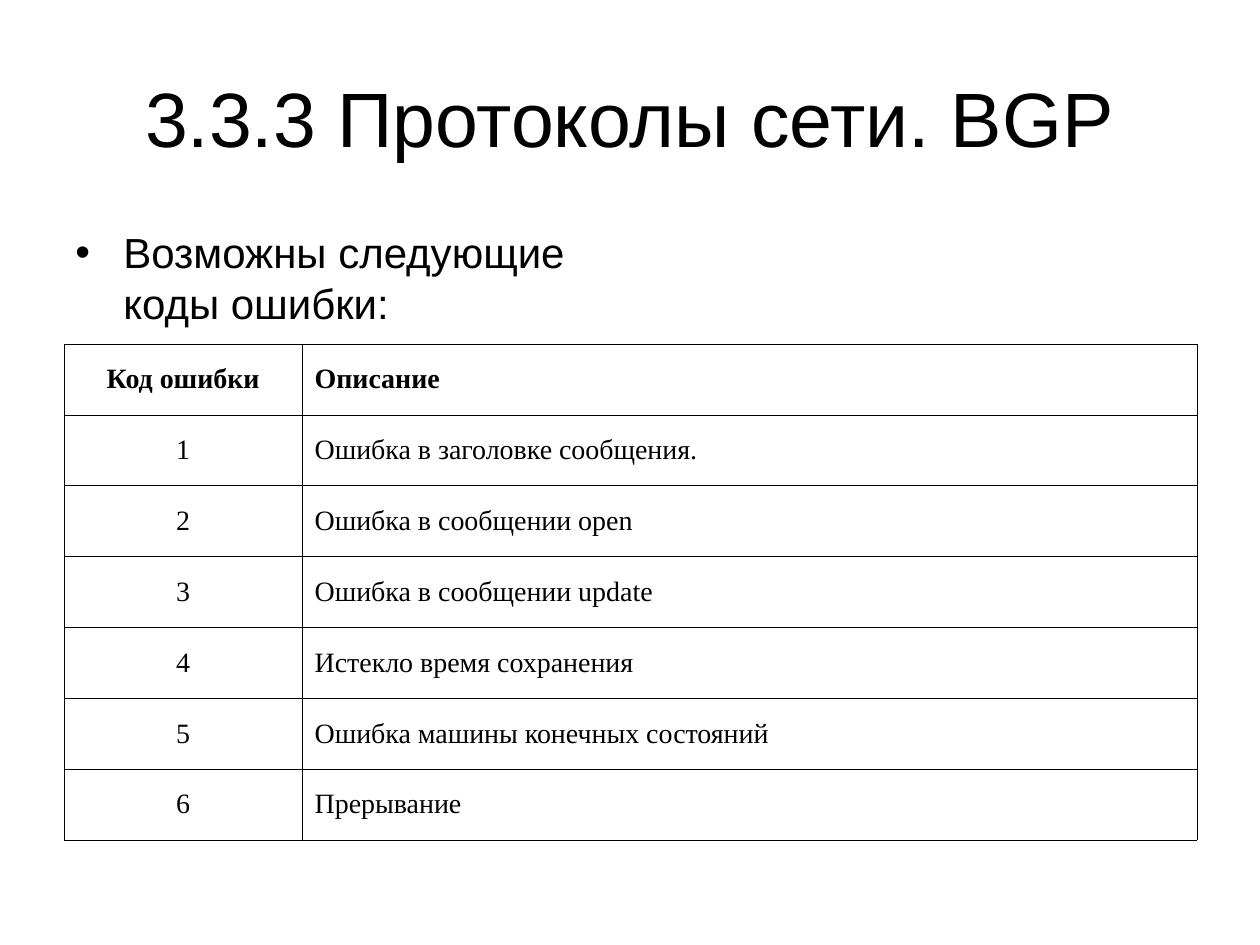
from lxml.etree import SubElement
from pptx import Presentation
from pptx.dml.color import RGBColor
from pptx.enum.text import MSO_ANCHOR as Anchor, PP_ALIGN as Align
from pptx.oxml.ns import qn
from pptx.util import Inches, Pt

BLACK = RGBColor(0x00, 0x00, 0x00)
WHITE = RGBColor(0xFF, 0xFF, 0xFF)
SANS, SERIF = "Arial", "Times New Roman"
WIDTH, HEIGHT = Inches(10), Inches(7.5)
CODE_SHARE = 0.21
ERRORS = [
    ("Код ошибки", "Описание"),
    ("1", "Ошибка в заголовке сообщения."),
    ("2", "Ошибка в сообщении open"),
    ("3", "Ошибка в сообщении update"),
    ("4", "Истекло время сохранения"),
    ("5", "Ошибка машины конечных состояний"),
    ("6", "Прерывание"),
]


def share_box(x, y, w, h):
    """Turn shares of the slide into left, top, width and height."""
    return int(x * WIDTH), int(y * HEIGHT), int(w * WIDTH), int(h * HEIGHT)


def write(tf, text, font, size, align=Align.LEFT, bold=False):
    """Write one run into the first paragraph and return the paragraph."""
    p = tf.paragraphs[0]
    p.alignment = align
    r = p.add_run()
    r.text = text
    r.font.name, r.font.size, r.font.bold = font, Pt(size), bold
    r.font.color.rgb = BLACK
    return p


def add_text_frame(s, box, anchor):
    """Add a wrapping text box and return its text frame."""
    tf = s.shapes.add_textbox(*box).text_frame
    tf.word_wrap = True
    tf.vertical_anchor = anchor
    return tf


def add_title(s, box):
    """Place the centred slide title."""
    tf = add_text_frame(s, box, Anchor.MIDDLE)
    write(tf, "3.3.3 Протоколы сети. BGP", SANS, 44, Align.CENTER)


def add_intro(s, box):
    """Place the bulleted line above the table."""
    tf = add_text_frame(s, box, Anchor.TOP)
    p = write(tf, "Возможны следующие коды ошибки:", SANS, 24)
    p.space_before = Pt(6)
    pPr = p._p.get_or_add_pPr()
    indent = Inches(0.38)
    pPr.set("marL", str(indent))
    pPr.set("indent", str(-indent))
    SubElement(pPr, qn("a:buFont"), typeface=SANS)
    SubElement(pPr, qn("a:buChar"), char="•")


def add_borders(cell):
    """Draw a thin black line on each side of a cell."""
    tcPr = cell._tc.get_or_add_tcPr()
    for side in ("lnL", "lnR", "lnT", "lnB"):
        ln = SubElement(tcPr, qn(f"a:{side}"), w=str(Pt(0.34)))
        fill = SubElement(ln, qn("a:solidFill"))
        SubElement(fill, qn("a:srgbClr"), val=str(BLACK))


def add_error_table(s, box):
    """Place the table of error codes and descriptions."""
    table = s.shapes.add_table(len(ERRORS), 2, *box).table
    table.columns[0].width = int(box[2] * CODE_SHARE)
    table.columns[1].width = box[2] - table.columns[0].width
    for i, row in enumerate(ERRORS):
        for j, text in enumerate(row):
            cell = table.cell(i, j)
            cell.vertical_anchor = Anchor.MIDDLE
            align = Align.LEFT if j else Align.CENTER
            write(cell.text_frame, text, SERIF, 16, align, i == 0)
            add_borders(cell)
            cell.fill.solid()
            cell.fill.fore_color.rgb = WHITE


def main():
    """Build the slide and save it."""
    prs = Presentation()
    prs.slide_width, prs.slide_height = WIDTH, HEIGHT
    s = prs.slides.add_slide(prs.slide_layouts[6])
    add_title(s, share_box(0.05, 0.04, 0.9, 1 / 6))
    add_intro(s, share_box(0.05, 7 / 30, 0.442, 0.66))
    add_error_table(s, share_box(0.051, 0.364, 0.899, 0.525))
    prs.save("out.pptx")


if __name__ == "__main__":
    main()
